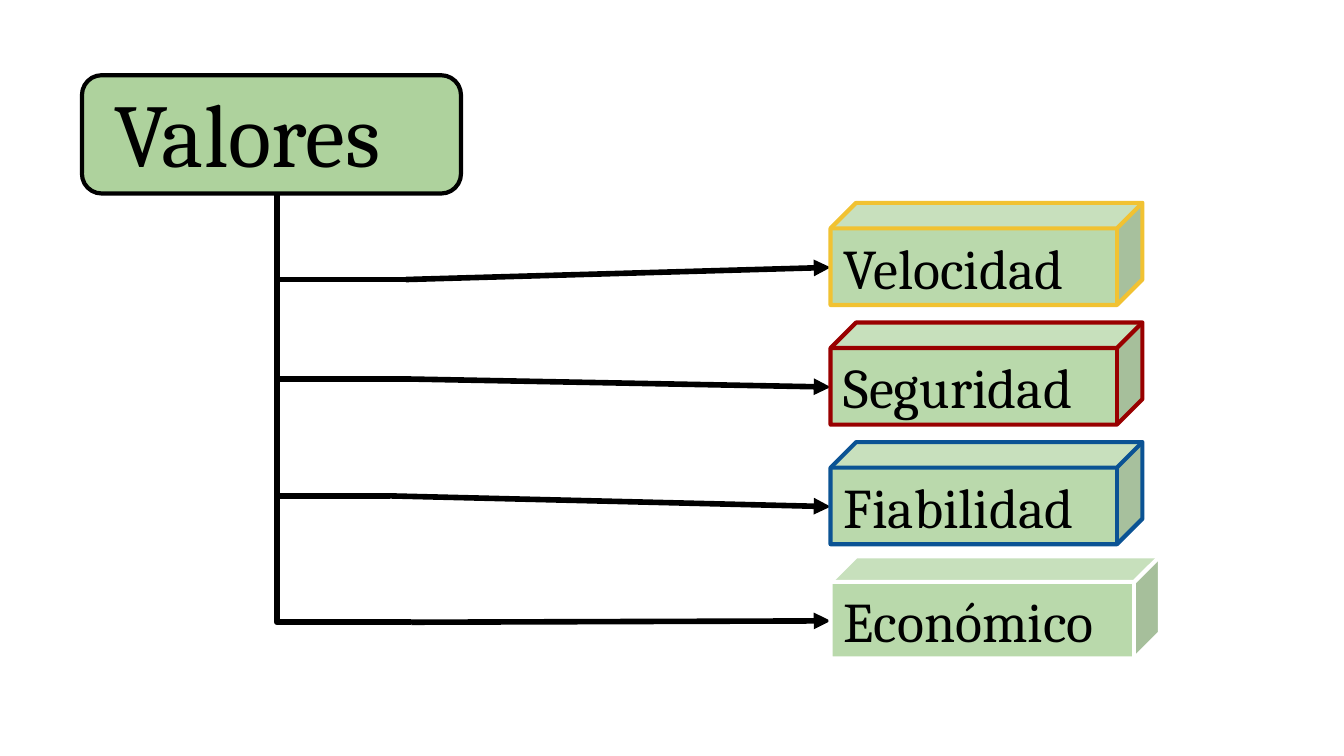
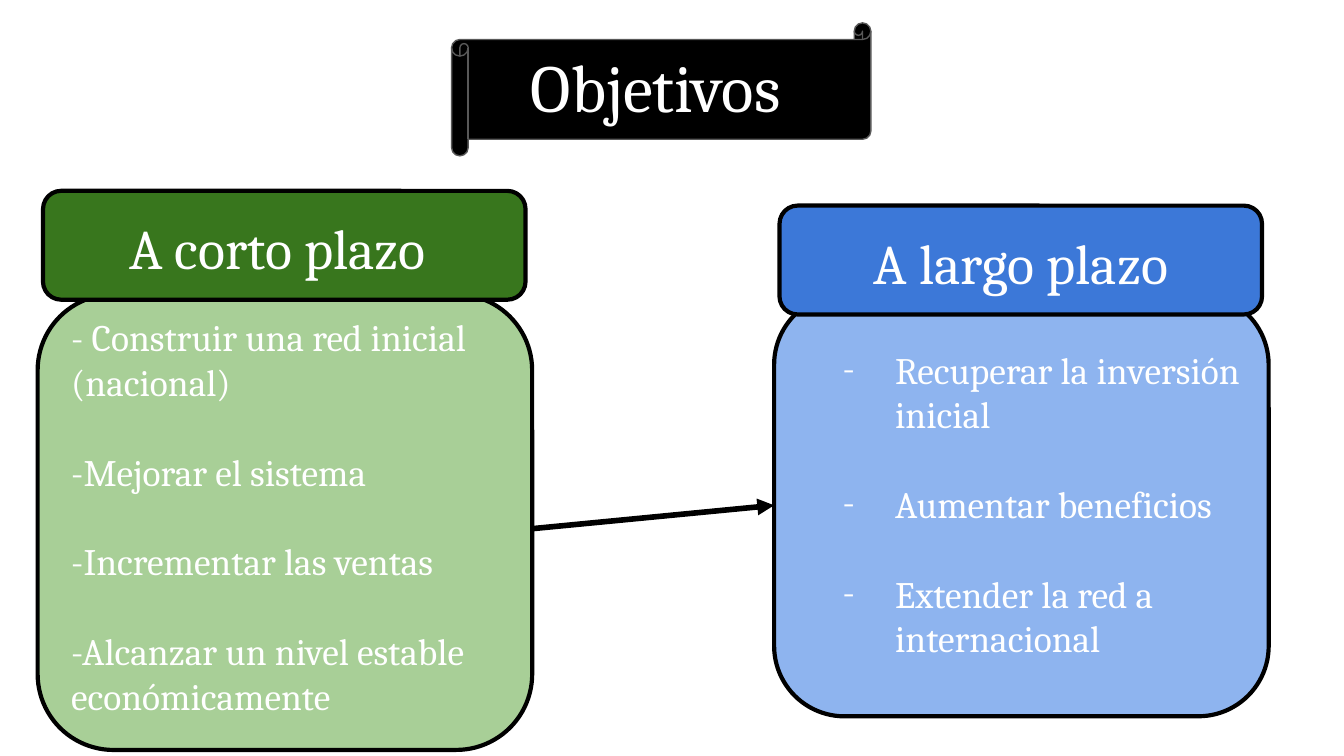
from dataclasses import dataclass

from lxml.etree import SubElement
from pptx import Presentation
from pptx.dml.color import RGBColor
from pptx.enum.shapes import MSO_CONNECTOR, MSO_SHAPE
from pptx.enum.text import MSO_ANCHOR, MSO_AUTO_SIZE, PP_ALIGN
from pptx.oxml.ns import qn
from pptx.util import Pt

PX = 9144  # 100 px to the inch
SLIDE_WIDTH = 1000


@dataclass(frozen=True)
class Theme:
    font: str = "Cambria"
    black: str = "000000"
    white: str = "FFFFFF"
    grey: str = "595959"
    soft_green: str = "93C47D"
    dark_green: str = "38761D"
    soft_blue: str = "6D9EEB"
    dark_blue: str = "3C78D8"
    values_size: int = 48
    goals_size: int = 36
    label_size: int = 30
    list_size: int = 20
    list_gap: int = 24
    outline: float = 2.25
    arrow: float = 3
    inset: int = 10


THEME = Theme()

# Content of slide 1: label, edge colour, opacity, top, width, knee of its branch
VALUES_TITLE = "Valores"
VALUES = [
    ("Velocidad", "F1C232", 63, 151, 232, (302, 208)),
    ("Seguridad", "990000", 64, 240, 232, (302, 282)),
    ("Fiabilidad", "0B5394", 63, 329, 232, (290, 369)),
    ("Económico", THEME.white, 64, 414, 245, (306, 463)),
]
CUBE_LEFT, CUBE_HEIGHT, CUBE_DEPTH = 618, 76, 19
TRUNK = (206, 144)

# Content of slide 2: goals are (text, starts a new item)
GOALS_TITLE = "Objetivos"
TERMS = [
    dict(
        heading="A corto plazo", header=(32, 142, 359, 81), heading_box=(63, 149, 287, 68),
        header_colour=THEME.dark_green,
        panel=(28, 219, 368, 339), panel_colour=THEME.soft_green, opacity=80,
        list_box=(43, 224, 352, 339), dash=None,
        goals=[
            ("- Construir una red inicial", True),
            ("(nacional)", False),
            ("-Mejorar el sistema", True),
            ("-Incrementar las ventas", True),
            ("-Alcanzar un nivel estable económicamente", True),
        ],
    ),
    dict(
        heading="A largo plazo", header=(580, 153, 359, 81), heading_box=(616, 160, 287, 68),
        header_colour=THEME.dark_blue,
        panel=(576, 219, 368, 314), panel_colour=THEME.soft_blue, opacity=77,
        list_box=(606, 248, 352, 339), dash="-",
        goals=[
            ("Recuperar la inversión inicial", True),
            ("Aumentar beneficios", True),
            ("Extender la red a internacional", True),
        ],
    ),
]


def px(*lengths):
    return [length * PX for length in lengths]


def set_line(item, colour, width):
    item.line.color.rgb = RGBColor.from_string(colour)
    item.line.width = Pt(width)
    SubElement(item.line._get_or_add_ln(), qn("a:round"))


def add_block(slide, kind, box, fill, line=THEME.black, width=THEME.outline, opacity=100):
    block = slide.shapes.add_shape(kind, *px(*box))
    block.shadow.inherit = False
    block.fill.solid()
    block.fill.fore_color.rgb = RGBColor.from_string(fill)
    if opacity < 100:
        colour = block._element.spPr.find(qn("a:solidFill"))[0]
        SubElement(colour, qn("a:alpha"), val=str(opacity * 1000))
    set_line(block, line, width)
    return block


def set_dash(paragraph, dash, colour):
    """Set a hanging dash, or no bullet at all when dash is None."""
    properties = paragraph._p.get_or_add_pPr()
    left, indent = px(50, -39) if dash else (0, 0)
    properties.set("marL", str(left))
    properties.set("indent", str(indent))
    if dash:
        SubElement(SubElement(properties, qn("a:buClr")), qn("a:srgbClr"), val=colour)
        SubElement(properties, qn("a:buFont"), typeface=THEME.font)
        SubElement(properties, qn("a:buChar"), char=dash)
    else:
        SubElement(properties, qn("a:buNone"))


def write(holder, lines, size, colour=THEME.black, align=PP_ALIGN.LEFT,
          anchor=MSO_ANCHOR.TOP, gap=0, dash=None):
    """Fill a shape with (text, starts a new item) lines, or with one string."""
    if isinstance(lines, str):
        lines = [(lines, True)]
    frame = holder.text_frame
    frame.word_wrap = True
    frame.auto_size = MSO_AUTO_SIZE.NONE
    frame.vertical_anchor = anchor
    frame.margin_left = frame.margin_right = THEME.inset * PX
    frame.margin_top = frame.margin_bottom = THEME.inset * PX
    for number, (text, new_item) in enumerate(lines):
        paragraph = frame.add_paragraph() if number else frame.paragraphs[0]
        paragraph.alignment = align
        paragraph.space_before = Pt(gap if number and new_item else 0)
        set_dash(paragraph, dash, colour)
        run = paragraph.add_run()
        run.text = text
        run.font.name = THEME.font
        run.font.size = Pt(size)
        run.font.color.rgb = RGBColor.from_string(colour)


def place(slide, placeholder, box):
    """Move a placeholder to its box, in front of what is drawn so far."""
    placeholder.left, placeholder.top, placeholder.width, placeholder.height = px(*box)
    slide.shapes._spTree.append(placeholder._element)


def add_link(slide, start, end, kind=MSO_CONNECTOR.STRAIGHT, arrow=True):
    link = slide.shapes.add_connector(kind, *px(*start, *end))
    set_line(link, THEME.black, THEME.arrow)
    if arrow:
        SubElement(link.line._get_or_add_ln(), qn("a:tailEnd"), type="triangle")
    SubElement(link._element.spPr, qn("a:effectLst"))
    return link


def add_branch(slide, start, knee):
    """Run straight down from start, then across to the knee."""
    branch = add_link(slide, start, knee, MSO_CONNECTOR.ELBOW, arrow=False)
    geometry = branch._element.spPr.find(qn("a:prstGeom"))
    guides = geometry.find(qn("a:avLst"))
    SubElement(guides, qn("a:gd"), name="adj1", fmla="val 0")


def build_values(deck):
    slide = deck.slides.add_slide(deck.slide_layouts.get_by_name("Title Only"))
    add_block(slide, MSO_SHAPE.ROUNDED_RECTANGLE, (61, 56, 282, 88),
              THEME.soft_green, opacity=75)
    place(slide, slide.shapes.title, (75, 48, 262, 96))
    write(slide.shapes.title, VALUES_TITLE, THEME.values_size)

    # Tree of branches, each leading to the front face of a cube
    for label, edge, opacity, top, width, knee in VALUES:
        face_middle = top + (CUBE_HEIGHT + CUBE_DEPTH + 1) // 2
        add_branch(slide, TRUNK, knee)
        add_link(slide, knee, (CUBE_LEFT, face_middle))
        cube = add_block(slide, MSO_SHAPE.CUBE, (CUBE_LEFT, top, width, CUBE_HEIGHT),
                         THEME.soft_green, line=edge, opacity=opacity)
        write(cube, label, THEME.label_size, anchor=MSO_ANCHOR.MIDDLE)


def build_goals(deck):
    slide = deck.slides.add_slide(deck.slide_layouts.get_by_name("Two Content"))
    title, *lists = slide.placeholders

    # Title on a scroll
    add_block(slide, MSO_SHAPE.HORIZONTAL_SCROLL, (336, 17, 312, 99),
              THEME.black, line=THEME.grey, width=0.75)
    place(slide, title, (385, 24, 230, 92))
    write(title, GOALS_TITLE, THEME.goals_size, colour=THEME.white)

    # One panel with a header for each term
    panels = []
    for term, goals in zip(TERMS, lists):
        panels.append(add_block(slide, MSO_SHAPE.ROUNDED_RECTANGLE, term["panel"],
                                term["panel_colour"], opacity=term["opacity"]))
        place(slide, goals, term["list_box"])
        write(goals, term["goals"], THEME.list_size, colour=THEME.white,
              gap=THEME.list_gap, dash=term["dash"])
        add_block(slide, MSO_SHAPE.ROUNDED_RECTANGLE, term["header"], term["header_colour"])
        heading = slide.shapes.add_textbox(*px(*term["heading_box"]))
        write(heading, term["heading"], THEME.label_size, colour=THEME.white,
              align=PP_ALIGN.CENTER)

    # Arrow from the short term to the long term
    arrow = add_link(slide, (395, 393), (576, 376))
    arrow.begin_connect(lists[0], 3)
    arrow.end_connect(panels[1], 1)


def main():
    deck = Presentation()
    deck.slide_width = SLIDE_WIDTH * PX
    deck.slide_height = deck.slide_width * 9 // 16
    build_values(deck)
    build_goals(deck)
    deck.save("out.pptx")


if __name__ == "__main__":
    main()
